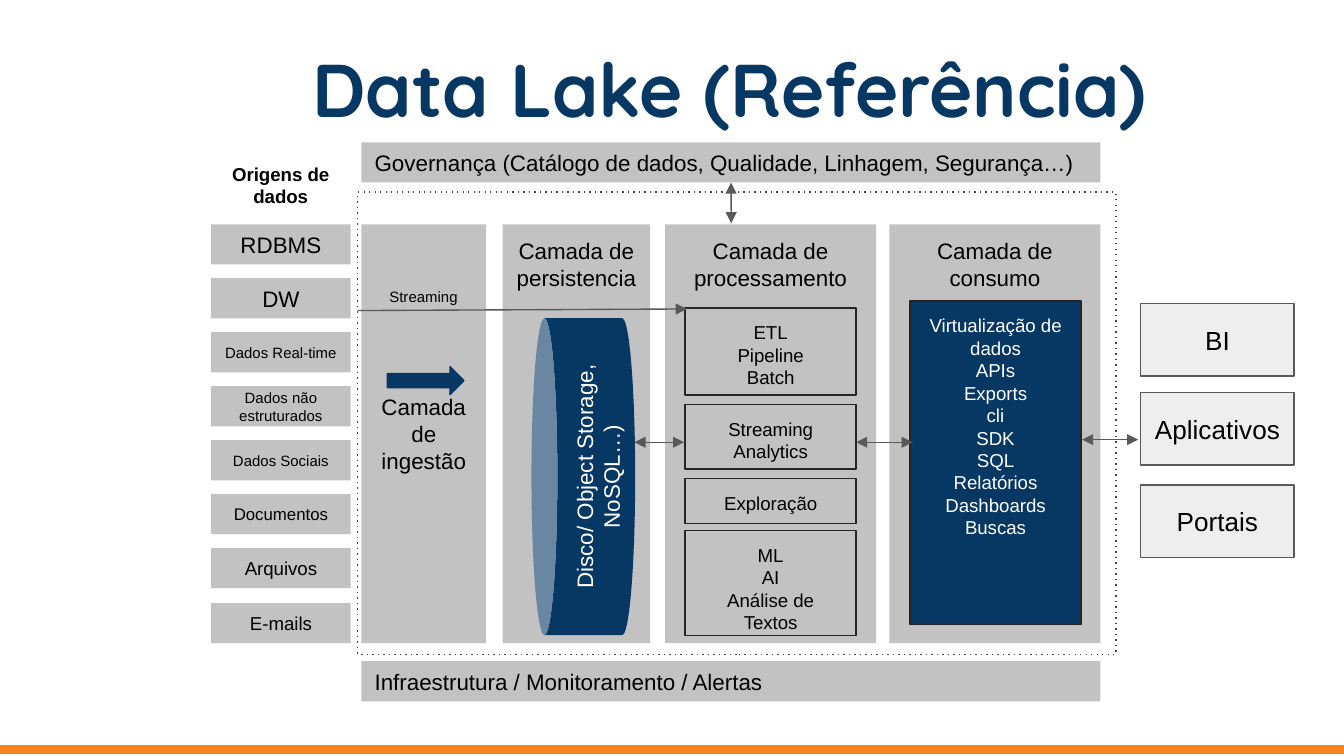
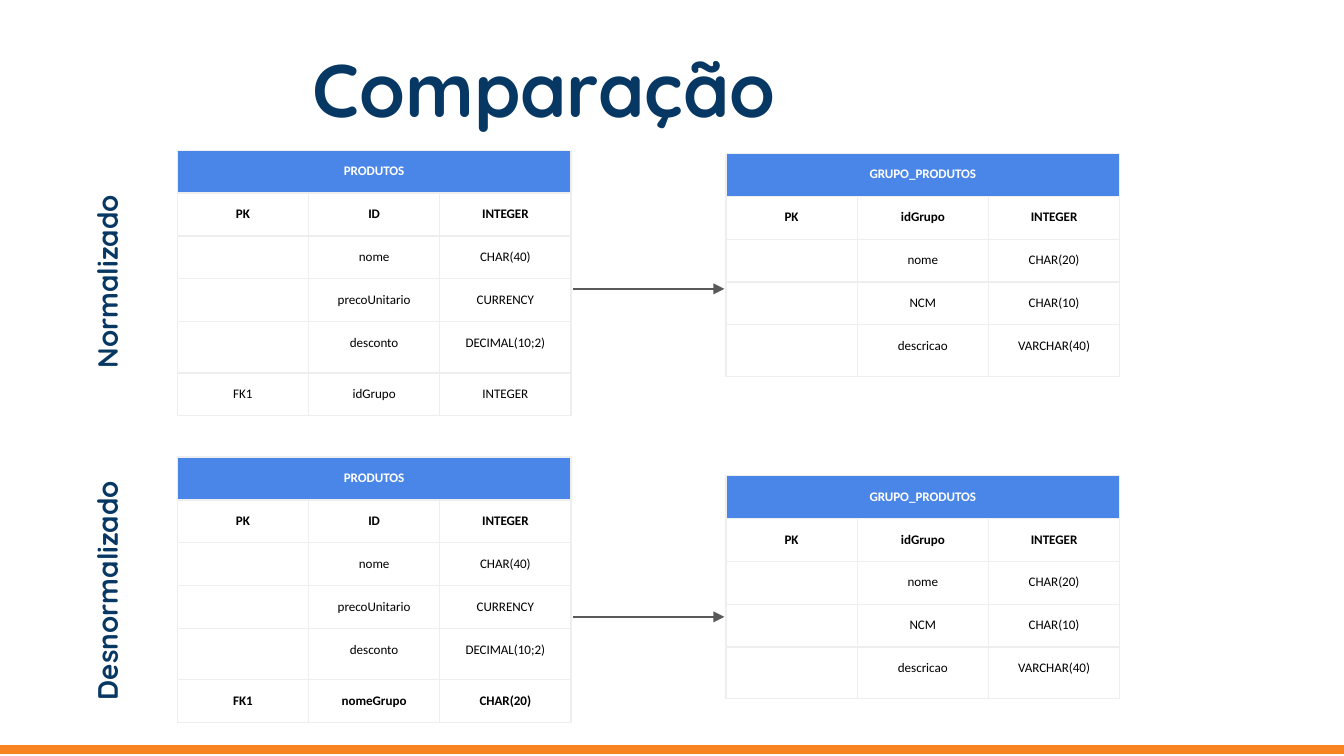
import lxml.etree
import pptx
import pptx.dml.color
import pptx.enum.shapes
import pptx.enum.text
import pptx.oxml.ns
import pptx.util

Cm = pptx.util.Cm
SHAPE = pptx.enum.shapes.MSO_SHAPE
ALIGN = pptx.enum.text.PP_ALIGN
ANCHOR = pptx.enum.text.MSO_ANCHOR

COLORS = {
    "navy": "073763", "orange": "F78321", "gray": "C2C2C2", "light": "EEEEEE",
    "outline": "252525", "line": "595959", "dots": "434343",
    "header": "4A86E8", "black": "000000", "white": "FFFFFF",
}
MARGIN = Cm(0.25)
COLUMN_WIDTH = 2.48
ROW_HEIGHT, TALL_ROW_HEIGHT = 0.81, 0.97
TALL_ROW = 4


def rgb(name):
    """Return the named colour."""
    return pptx.dml.color.RGBColor.from_string(COLORS[name])


def add_element(parent, tag, **attributes):
    """Append an XML element with the given prefixed tag."""
    return lxml.etree.SubElement(parent, pptx.oxml.ns.qn(tag), **attributes)


def write_run(paragraph, text, size, color="black", font="Arial", bold=False):
    """Add one formatted run."""
    run = paragraph.add_run()
    run.text = text
    run.font.size = pptx.util.Pt(size)
    run.font.name = font
    run.font.bold = bold
    run.font.color.rgb = rgb(color)


def write_text(shape, text, size, align=ALIGN.CENTER, anchor=ANCHOR.TOP, **style):
    """Fill a shape with one paragraph for each line of text."""
    frame = shape.text_frame
    frame.word_wrap = True
    frame.vertical_anchor = anchor
    frame.margin_left = frame.margin_right = MARGIN
    frame.margin_top = frame.margin_bottom = MARGIN
    for index, line in enumerate(text.split("\n")):
        paragraph = frame.add_paragraph() if index else frame.paragraphs[0]
        paragraph.alignment = align
        write_run(paragraph, line, size, **style)


def add_box(slide, box, fill=None, line=None, kind=SHAPE.RECTANGLE):
    """Add a flat preset shape; box is left, top, width, height in cm."""
    shape = slide.shapes.add_shape(kind, *map(Cm, box))
    shape.shadow.inherit = False
    if fill:
        shape.fill.solid()
        shape.fill.fore_color.rgb = rgb(fill)
    else:
        shape.fill.background()
    if line:
        shape.line.color.rgb = rgb(line)
        shape.line.width = pptx.util.Pt(0.75)
    else:
        shape.line.fill.background()
    return shape


def add_label(slide, box, text, size, rotation=0, **style):
    """Add a wrapped text box."""
    label = slide.shapes.add_textbox(*map(Cm, box))
    label.rotation = rotation
    write_text(label, text, size, **style)


def add_arrow(slide, start, end, both=False):
    """Add a straight arrow, optionally with heads at both ends."""
    arrow = slide.shapes.add_connector(
        pptx.enum.shapes.MSO_CONNECTOR.STRAIGHT, *map(Cm, start + end))
    arrow.line.color.rgb = rgb("line")
    arrow.line.width = pptx.util.Pt(0.75)
    line = arrow.line._get_or_add_ln()
    if both:
        add_element(line, "a:headEnd", type="triangle")
    add_element(line, "a:tailEnd", type="triangle")
    add_element(arrow._element.spPr, "a:effectLst")
    return arrow


def format_cell(cell, text, header, bold):
    """Set the borders, fill and text of a table cell."""
    properties = cell._tc.get_or_add_tcPr()
    for side in "LRTB":
        border = add_element(properties, f"a:ln{side}", w="9525")
        fill = add_element(border, "a:solidFill")
        add_element(fill, "a:srgbClr", val=COLORS["light"])
    if header:
        cell.fill.solid()
        cell.fill.fore_color.rgb = rgb("header")
    else:
        cell.fill.background()
    cell.margin_left = cell.margin_right = MARGIN
    cell.margin_top = cell.margin_bottom = MARGIN
    paragraph = cell.text_frame.paragraphs[0]
    paragraph.alignment = ALIGN.CENTER
    if text:
        write_run(paragraph, text, 7, "white" if header else "black", "Calibri", bold)
    else:
        add_element(paragraph._p, "a:endParaRPr", sz="700")


def add_entity(slide, left, top, name, fields, bold_rows=(0, 1)):
    """Add a table that describes a database entity."""
    rows = [(name, "", "")] + fields
    heights = [TALL_ROW_HEIGHT if index == TALL_ROW else ROW_HEIGHT
               for index in range(len(rows))]
    frame = slide.shapes.add_table(
        len(rows), 3, Cm(left), Cm(top), Cm(3 * COLUMN_WIDTH), Cm(sum(heights)))
    table = frame.table
    table.first_row = table.horz_banding = False
    for column in table.columns:
        column.width = Cm(COLUMN_WIDTH)
    for index, values in enumerate(rows):
        table.rows[index].height = Cm(heights[index])
        for column, text in enumerate(values):
            format_cell(table.cell(index, column), text, index == 0, index in bold_rows)
    table.cell(0, 0).merge(table.cell(0, 2))


def add_slide(presentation, title):
    """Add a blank slide with the shared title and footer band."""
    slide = presentation.slides.add_slide(presentation.slide_layouts[6])
    add_label(slide, (5.66, 0.84, 18.87, 1.65), title, 40, align=ALIGN.LEFT,
              anchor=ANCHOR.MIDDLE, color="navy", font="Quicksand", bold=True)
    add_box(slide, (0, 14.1, 25.4, 0.15), "orange", "orange")
    return slide


def add_sources(slide):
    """Add the column of data sources."""
    add_label(slide, (4.06, 2.82, 2.49, 1.37), "Origens de dados", 10, bold=True)
    sources = [("RDBMS", 12), ("DW", 12), ("Dados Real-time", 8),
               ("Dados não estruturados", 8), ("Dados Sociais", 8),
               ("Documentos", 9), ("Arquivos", 10), ("E-mails", 10)]
    tops = [4.24 + 1.02 * index for index in range(len(sources) - 1)] + [11.4]
    for (name, size), top in zip(sources, tops):
        source = add_box(slide, (3.99, top, 2.64, 0.76), "gray")
        write_text(source, name, size, anchor=ANCHOR.MIDDLE)


def add_layers(slide):
    """Add the four layers of the lake and their contents."""
    for left, width, name, anchor in [
            (6.83, 2.36, "Camada de ingestão", ANCHOR.MIDDLE),
            (9.5, 2.79, "Camada de persistencia", ANCHOR.TOP),
            (12.57, 3.99, "Camada de processamento", ANCHOR.TOP),
            (16.81, 3.99, "Camada de consumo", ANCHOR.TOP)]:
        layer = add_box(slide, (left, 4.24, width, 7.92), "gray")
        write_text(layer, name, 12, anchor=anchor)
    add_box(slide, (7.32, 6.93, 1.45, 0.53), "navy", "navy", SHAPE.RIGHT_ARROW)
    storage = add_box(slide, (8.03, 8.03, 5.99, 1.96), "navy", kind=SHAPE.CAN)
    storage.adjustments[0] = 0.25
    storage.rotation = 270
    write_text(storage, "Disco/ Object Storage, NoSQL…)", 12, color="white")
    for top, height, text in [
            (5.82, 1.65, "ETL\nPipeline\nBatch"),
            (7.65, 1.22, "Streaming Analytics"),
            (9.04, 0.86, "Exploração"),
            (10.03, 1.98, "ML\nAI\nAnálise de Textos")]:
        process = add_box(slide, (12.95, top, 3.23, height), "gray", "outline")
        write_text(process, text, 10)
    services = add_box(slide, (17.2, 5.69, 3.23, 6.12), "navy", "outline")
    write_text(services, "Virtualização de dados\nAPIs\nExports\ncli\nSDK\nSQL\n"
               "Relatórios\nDashboards\nBuscas", 10, color="white")


def add_bar(slide, top, text):
    """Add a wide bar that spans all layers."""
    bar = add_box(slide, (6.83, top, 13.97, 0.76), "gray")
    write_text(bar, text, 12, align=ALIGN.LEFT, anchor=ANCHOR.MIDDLE)
    return bar


def build_reference(presentation):
    """Build the data lake reference architecture."""
    slide = add_slide(presentation, "Data Lake (Referência)")
    boundary = add_box(slide, (6.76, 3.63, 14.33, 8.74), line="dots")
    add_element(boundary.line._get_or_add_ln(), "a:prstDash", val="dot")
    add_sources(slide)
    add_layers(slide)
    governance = add_bar(
        slide, 2.69, "Governança (Catálogo de dados, Qualidade, Linhagem, Segurança…)")
    add_bar(slide, 12.5, "Infraestrutura / Monitoramento / Alertas")
    for top, name in [(5.74, "BI"), (7.42, "Aplicativos"), (9.17, "Portais")]:
        consumer = add_box(slide, (21.56, top, 2.9, 1.37), "light", "line")
        write_text(consumer, name, 14, anchor=ANCHOR.MIDDLE)
    add_arrow(slide, (13.82, 3.45), (13.82, 4.22), True).begin_connect(governance, 2)
    for left, right, height in [(11.99, 12.93, 8.36), (16.18, 17.25, 8.36),
                                (20.45, 21.51, 8.31)]:
        add_arrow(slide, (left, height), (right, height), True)
    add_arrow(slide, (6.76, 5.87), (12.98, 5.84))
    add_label(slide, (7.11, 5.26, 1.9, 0.86), "Streaming", 8, align=ALIGN.LEFT)


def build_comparison(presentation):
    """Build the comparison of normalized and denormalized tables."""
    slide = add_slide(presentation, "Comparação")
    product = [("PK", "ID", "INTEGER"), ("", "nome", "CHAR(40)"),
               ("", "precoUnitario", "CURRENCY"), ("", "desconto", "DECIMAL(10;2)")]
    group = [("PK", "idGrupo", "INTEGER"), ("", "nome", "CHAR(20)"),
             ("", "NCM", "CHAR(10)"), ("", "descricao", "VARCHAR(40)")]
    for name, label_top, product_top, group_top, arrow_top, key, bold_rows in [
            ("Normalizado", 4.5, 2.84, 2.9, 5.46,
             ("FK1", "idGrupo", "INTEGER"), (0, 1)),
            ("Desnormalizado", 10.34, 8.64, 8.99, 11.66,
             ("FK1", "nomeGrupo", "CHAR(20)"), (0, 1, 5))]:
        add_entity(slide, 3.35, product_top, "PRODUTOS", product + [key], bold_rows)
        add_entity(slide, 13.72, group_top, "GRUPO_PRODUTOS", group)
        add_arrow(slide, (10.82, arrow_top), (13.69, arrow_top))
        add_label(slide, (-0.51, label_top, 5.05, 1.65), name, 15, rotation=270,
                  anchor=ANCHOR.MIDDLE, color="navy", font="Quicksand", bold=True)


def main():
    """Build and save the presentation."""
    presentation = pptx.Presentation()
    presentation.slide_width = Cm(25.4)
    presentation.slide_height = Cm(14.29)
    build_reference(presentation)
    build_comparison(presentation)
    presentation.save("out.pptx")


if __name__ == "__main__":
    main()
